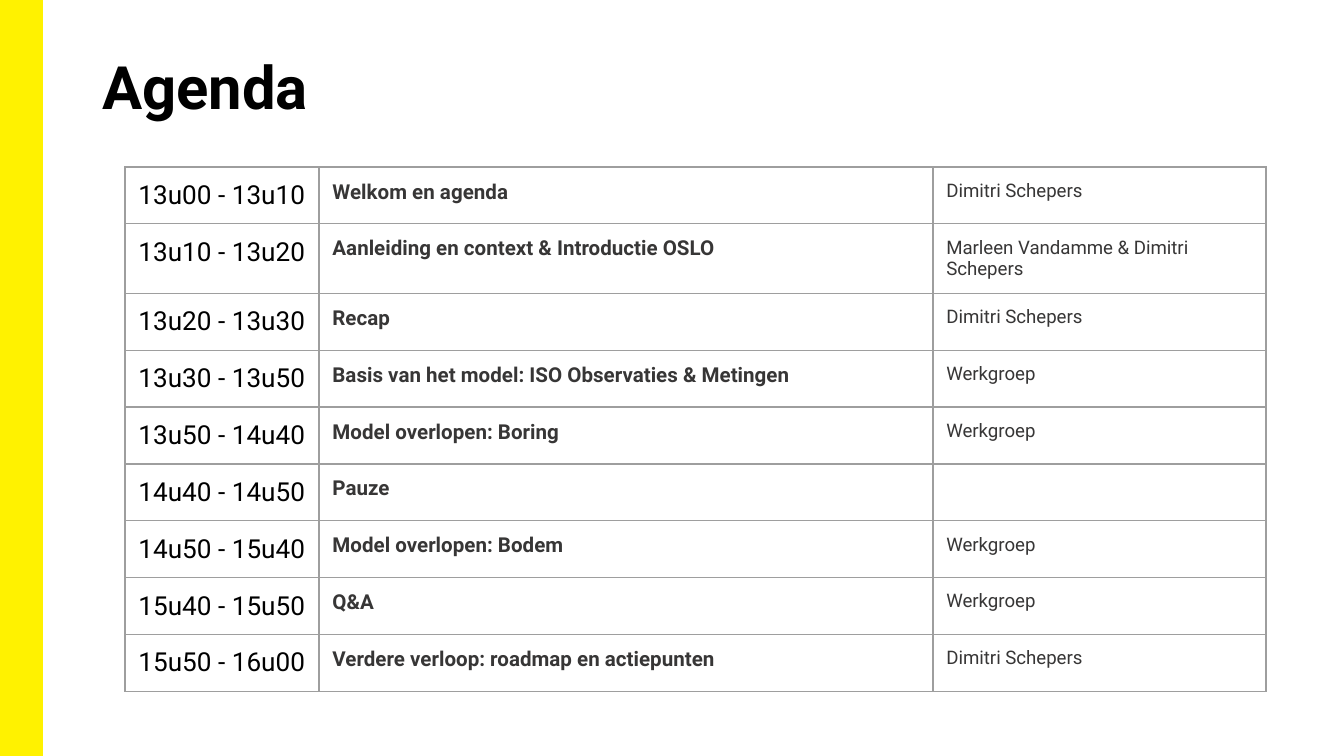
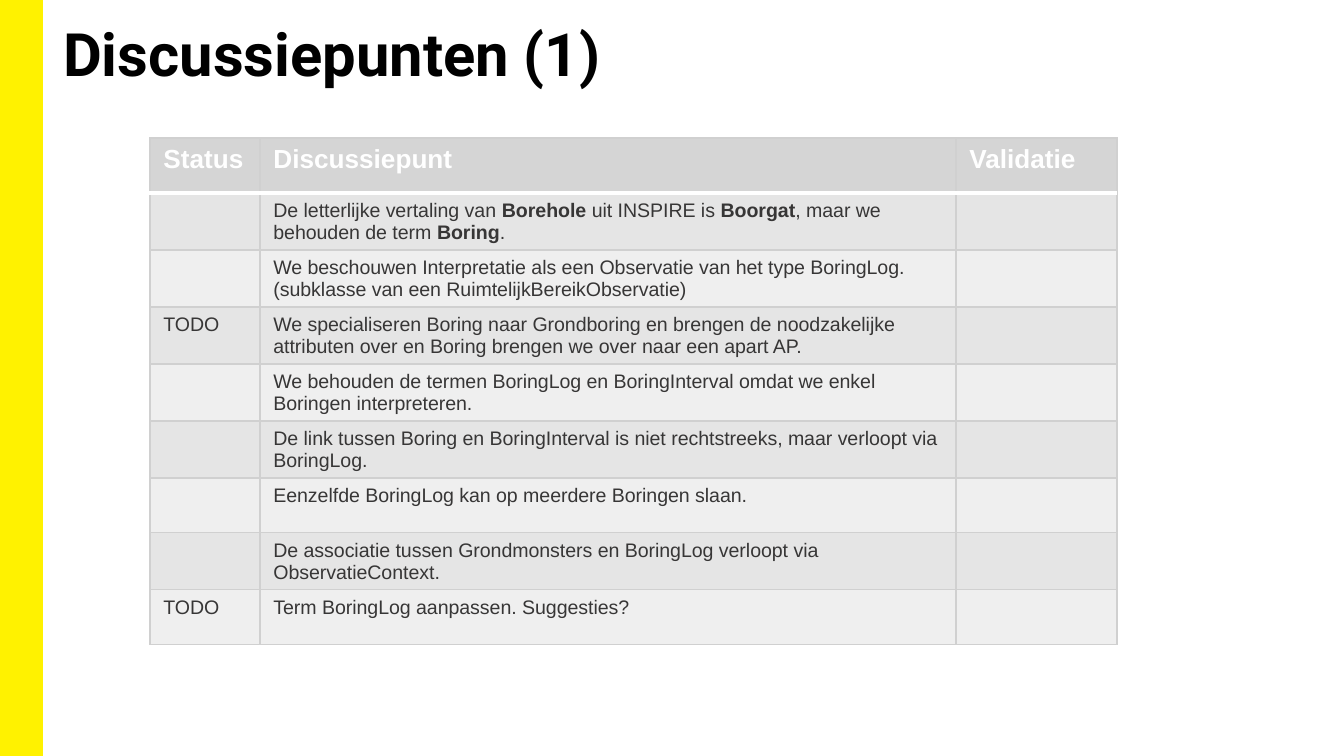
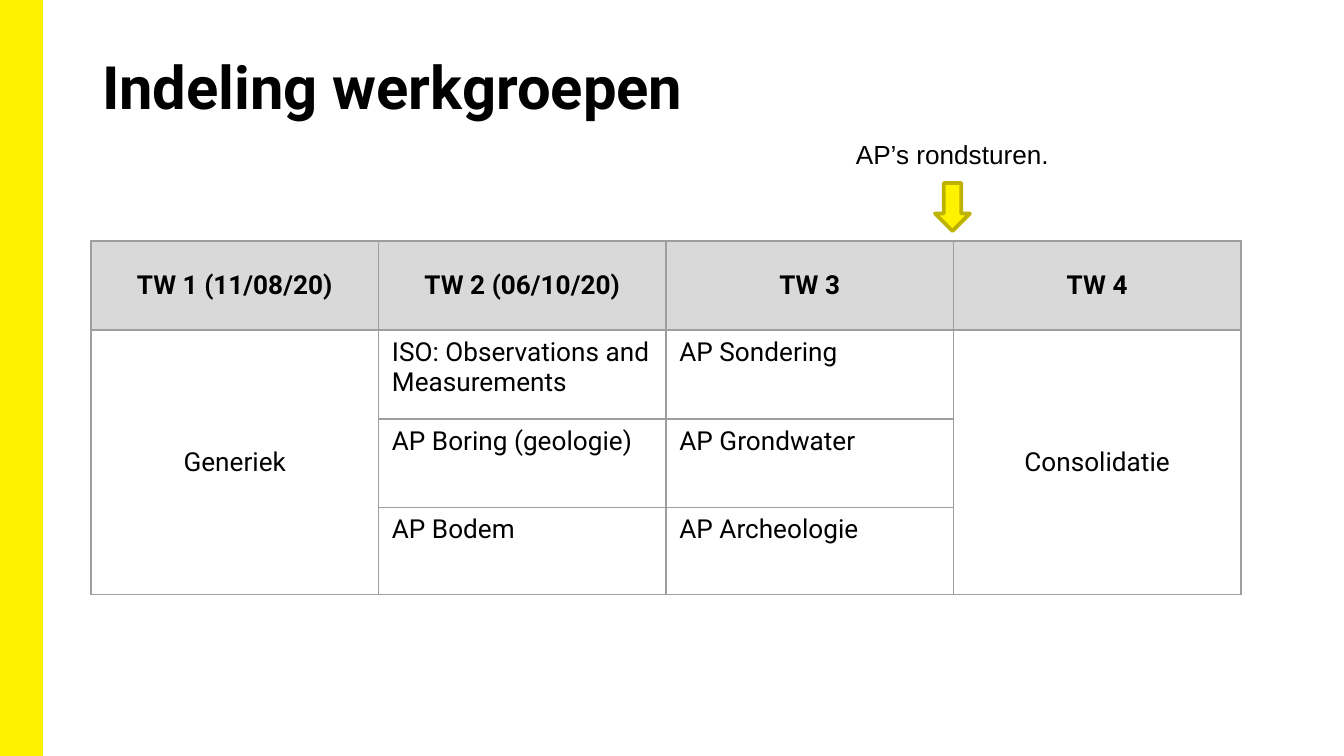
"""Build three slides on a workshop: agenda, points to discuss, groups."""
from pptx import Presentation
from pptx.dml.color import RGBColor
from pptx.enum.shapes import MSO_SHAPE
from pptx.enum.text import MSO_ANCHOR, PP_ALIGN
from pptx.oxml import parse_xml
from pptx.oxml.ns import nsdecls
from pptx.util import Pt

YELLOW, OLIVE, WHITE, BLACK = "FFF200", "BDB300", "FFFFFF", "000000"
DARK, GREY, EDGE, RULE = "373636", "D5D5D5", "D0D0D0", "9E9E9E"
HEAD, ODD, EVEN = "D9D9D9", "E5E5E5", "EFEFEF"

AGENDA = [
    ("13u00 - 13u10", "Welkom en agenda", "Dimitri Schepers"),
    ("13u10 - 13u20", "Aanleiding en context & Introductie OSLO",
     "Marleen Vandamme & Dimitri Schepers"),
    ("13u20 - 13u30", "Recap", "Dimitri Schepers"),
    ("13u30 - 13u50", "Basis van het model: ISO Observaties & Metingen", "Werkgroep"),
    ("13u50 - 14u40", "Model overlopen: Boring", "Werkgroep"),
    ("14u40 - 14u50", "Pauze", ""),
    ("14u50 - 15u40", "Model overlopen: Bodem", "Werkgroep"),
    ("15u40 - 15u50", "Q&A", "Werkgroep"),
    ("15u50 - 16u00", "Verdere verloop: roadmap en actiepunten", "Dimitri Schepers"),
]
POINTS = [
    ("Status", "Discussiepunt", "Validatie"),
    ("", "De letterlijke vertaling van *Borehole* uit INSPIRE is *Boorgat*, "
     "maar we behouden de term *Boring*.", ""),
    ("", "We beschouwen Interpretatie als een Observatie van het type BoringLog. "
     "(subklasse van een RuimtelijkBereikObservatie)", ""),
    ("TODO", "We specialiseren Boring naar Grondboring en brengen de noodzakelijke "
     "attributen over en Boring brengen we over naar een apart AP.", ""),
    ("", "We behouden de termen BoringLog en BoringInterval omdat we enkel "
     "Boringen interpreteren.", ""),
    ("", "De link tussen Boring en BoringInterval is niet rechtstreeks, maar "
     "verloopt via BoringLog.", ""),
    ("", "Eenzelfde BoringLog kan op meerdere Boringen slaan.", ""),
    ("", "De associatie tussen Grondmonsters en BoringLog verloopt via "
     "ObservatieContext.", ""),
    ("TODO", "Term BoringLog aanpassen. Suggesties?", ""),
]
GROUPS = [
    ("TW 1 (11/08/20)", "TW 2 (06/10/20)", "TW 3", "TW 4"),
    ("Generiek", "ISO: Observations and Measurements", "AP Sondering", "Consolidatie"),
    ("", "AP Boring (geologie)", "AP Grondwater", ""),
    ("", "AP Bodem", "AP Archeologie", ""),
]


def px(n):
    """Turn px into EMU."""
    return round(n * 914400 / 134.4)


def rgb(code):
    """Turn a hex string into a colour."""
    return RGBColor.from_string(code)


def style(run, size, color, bold=False, face="Roboto"):
    """Format one run."""
    font = run.font
    font.name, font.size, font.bold = face, Pt(size), bold
    font.color.rgb = rgb(color)


def paint(shape, fill, line, width):
    """Give a shape a plain fill and line."""
    shape.shadow.inherit = False
    shape.fill.solid()
    shape.fill.fore_color.rgb = rgb(fill)
    shape.line.color.rgb = rgb(line)
    shape.line.width = Pt(width)


def edge(cell, sides, color, width=0.75):
    """Draw cell borders on the sides named by L, R, T and B."""
    props = cell._tc.get_or_add_tcPr()
    for spot, side in enumerate(sides):
        props.insert(spot, parse_xml(
            f'<a:ln{side} {nsdecls("a")} w="{Pt(width)}"><a:solidFill>'
            f'<a:srgbClr val="{color}"/></a:solidFill></a:ln{side}>'))


def write(cell, text, size, color, bold=False, face="Roboto", fill=WHITE, mid=False):
    """Fill a cell; words between stars are bold."""
    para = cell.text_frame.paragraphs[0]
    for turn, part in enumerate(text.split("*")):
        if part:
            run = para.add_run()
            run.text = part
            style(run, size, color, bold or turn % 2 == 1, face)
    if not text:
        para._p.get_or_add_endParaRPr().set("sz", str(int(size * 100)))
    if mid:
        para.alignment = PP_ALIGN.CENTER
        cell.vertical_anchor = MSO_ANCHOR.MIDDLE
    cell.fill.solid()
    cell.fill.fore_color.rgb = rgb(fill)


def grid(slide, rows, left, top, cols, highs, look, line):
    """Add a table; look(row, col) gives the format of a cell."""
    frame = slide.shapes.add_table(len(rows), len(cols), px(left), px(top),
                                   px(sum(cols)), px(sum(highs)))
    table = frame.table
    table.first_row = table.horz_banding = False
    for col, wide in zip(table.columns, cols):
        col.width = px(wide)
    for row, high in zip(table.rows, highs):
        row.height = px(high)
    for r, row in enumerate(rows):
        for c, text in enumerate(row):
            cell = table.cell(r, c)
            write(cell, text, **look(r, c))
            edge(cell, "LRTB", line)
    return table


def page(deck, title, left=93, top=40):
    """Add a slide with its title."""
    slide = deck.slides.add_slide(deck.slide_layouts[5])
    head = slide.shapes.title
    head.left, head.top, head.width, head.height = map(px, (left, top, 1158, 109))
    frame = head.text_frame
    frame.text = title
    frame.vertical_anchor = MSO_ANCHOR.TOP
    frame.margin_left = frame.margin_right = px(9)
    frame.margin_top, frame.margin_bottom = px(10), px(5)
    frame.paragraphs[0].alignment = PP_ALIGN.LEFT
    style(frame.paragraphs[0].runs[0], 32, BLACK, True)
    return slide


def band(deck, slide):
    """Put the yellow band on the master."""
    bar = slide.shapes.add_shape(MSO_SHAPE.RECTANGLE, 0, 0, px(42), deck.slide_height)
    paint(bar, YELLOW, YELLOW, 1)
    bar._element.nvSpPr.cNvPr.set("id", "99")
    deck.slide_master.shapes._spTree.insert(2, bar._element)


def agenda(deck):
    """Build the agenda."""
    slide = page(deck, "Agenda")
    band(deck, slide)
    kinds = [dict(size=14, color=BLACK), dict(size=11, color=DARK, bold=True),
             dict(size=10, color=DARK)]
    table = grid(slide, AGENDA, 125, 167, (194, 614, 333), [56] * len(AGENDA),
                 lambda r, c: kinds[c], RULE)
    for cell in table.iter_cells():
        cell.margin_top = cell.margin_bottom = px(13)


def points(deck):
    """Build the points to discuss."""
    slide = page(deck, "Discussiepunten (1)", 54, 7)

    def look(r, c):
        """Format the header or a striped row."""
        if r == 0:
            return dict(size=14, color=WHITE, bold=True, face="Arial", fill=GREY)
        return dict(size=10.5, color=DARK, face="Arial", fill=ODD if r % 2 else EVEN)

    table = grid(slide, POINTS, 150, 138, (110, 696, 161), [55] * len(POINTS), look, EDGE)
    for c in range(3):
        for r, side in enumerate("BT"):
            cell = table.cell(r, c)
            props = cell._tc.tcPr
            props.remove(props["LRTB".index(side)])
            edge_at = "LRTB".index(side)
            edge(cell, side, WHITE, 2)
            props.insert(edge_at, props[0])


def groups(deck):
    """Build the groups with the arrow."""
    slide = page(deck, "Indeling werkgroepen")

    def look(r, c):
        """Format the header, the merged sides or the middle."""
        return dict(size=14, color=BLACK, bold=r == 0, fill=WHITE if r else HEAD,
                    mid=r == 0 or c in (0, 3))

    table = grid(slide, GROUPS, 91, 241, [1150 / 4] * 4, (89, 89, 89, 87), look, RULE)
    for c in (0, 3):
        table.cell(1, c).merge(table.cell(3, c))
    arrow = slide.shapes.add_shape(MSO_SHAPE.DOWN_ARROW, px(935), px(183), px(35), px(48))
    paint(arrow, YELLOW, OLIVE, 2)
    note = slide.shapes.add_textbox(px(817), px(132), px(271), px(46)).text_frame
    note.word_wrap = True
    note.text = "AP’s rondsturen."
    note.paragraphs[0].alignment = PP_ALIGN.CENTER
    style(note.paragraphs[0].runs[0], 14, BLACK, face="Arial")


def main():
    """Build and save the deck."""
    deck = Presentation()
    deck.slide_width, deck.slide_height = px(1344), px(756)
    agenda(deck)
    points(deck)
    groups(deck)
    deck.save("out.pptx")


if __name__ == "__main__":
    main()
